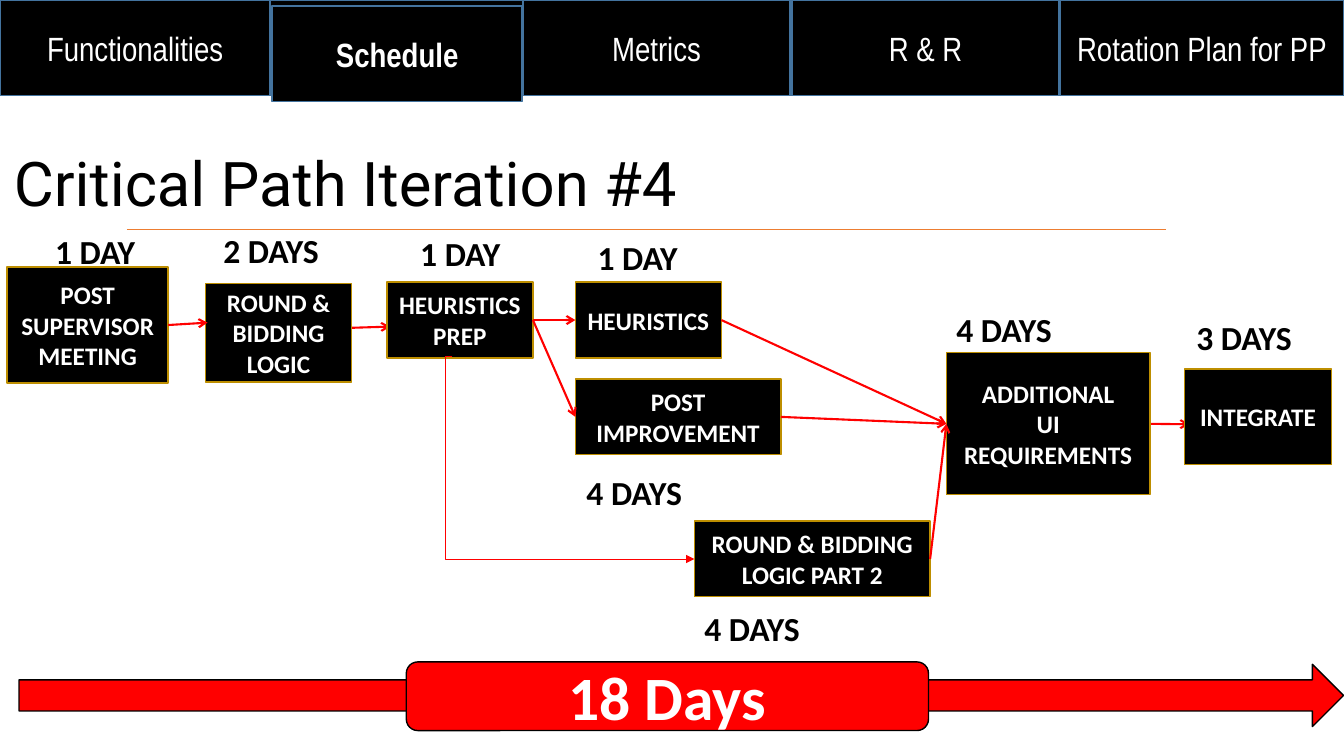
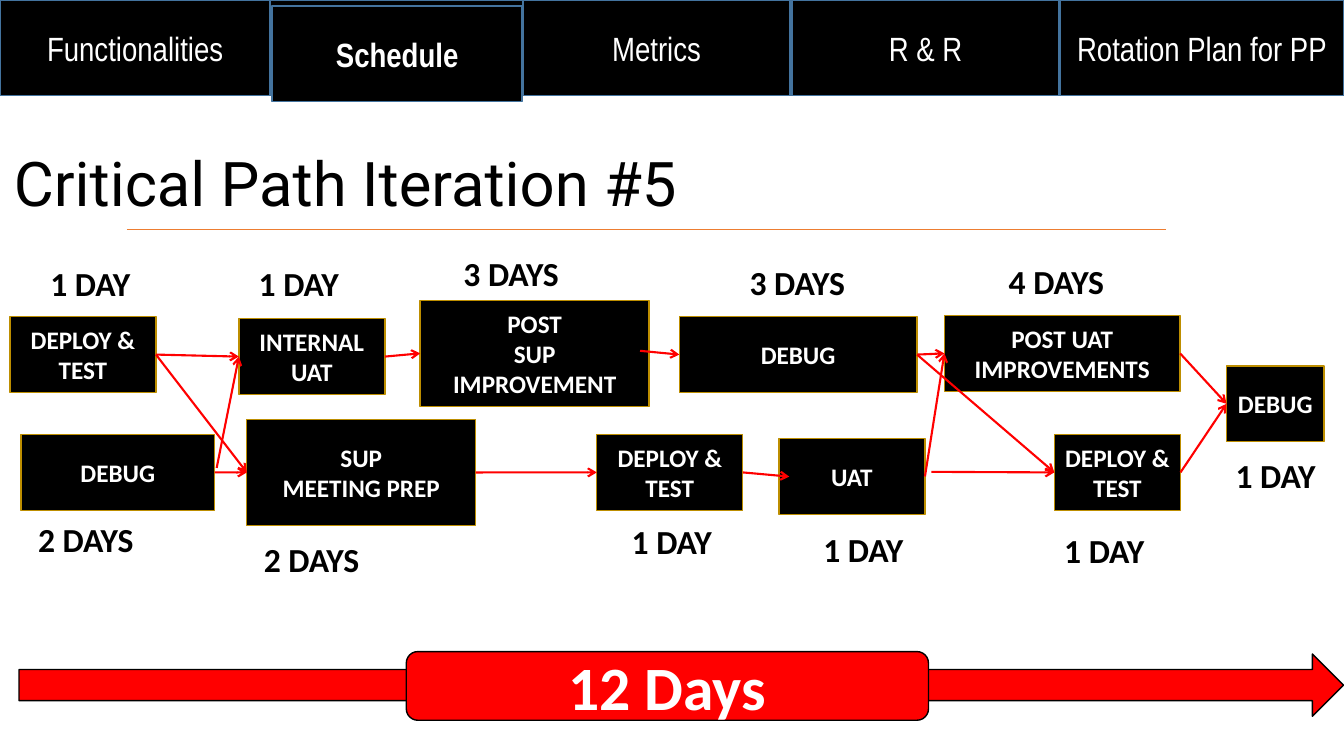
from dataclasses import dataclass

from lxml.etree import SubElement
from pptx import Presentation
from pptx.dml.color import RGBColor
from pptx.enum.shapes import MSO_CONNECTOR as Link, MSO_SHAPE as Preset
from pptx.enum.text import MSO_ANCHOR as Anchor, MSO_AUTO_SIZE as AutoSize, PP_ALIGN as Align
from pptx.oxml.ns import qn
from pptx.shapes.autoshape import Shape
from pptx.shapes.connector import Connector
from pptx.slide import Slide
from pptx.util import Cm, Pt

COLORS = {
    "black": "000000",
    "white": "FFFFFF",
    "tab_line": "43739E",
    "task_line": "BD8E00",
    "rule": "ED7D31",
    "red": "FF0000",
}
SLIDE_W, SLIDE_H = 33.87, 19.05
TAB_H, ACTIVE_TAB, ACTIVE_DROP = 2.41, "Schedule", 0.15
JOIN_TOLERANCE = Cm(0.11)


@dataclass(frozen=True)
class Tab:
    text: str
    left: float
    width: float


@dataclass(frozen=True)
class Task:
    text: str
    left: float
    top: float
    width: float = 3.68
    height: float = 1.91


@dataclass(frozen=True)
class Duration:
    text: str
    left: float
    top: float
    width: float = 2.72


@dataclass(frozen=True)
class Arrow:
    x1: float
    y1: float
    x2: float
    y2: float
    under: bool = False
    elbow: bool = False


@dataclass(frozen=True)
class Iteration:
    title: str
    total: str
    total_top: float
    tasks: list[Task]
    durations: list[Duration]
    arrows: list[Arrow]


TABS = [
    Tab("Functionalities", 0, 6.81),
    Tab("Schedule", 6.86, 6.3),
    Tab("Metrics", 13.18, 6.73),
    Tab("R & R", 19.96, 6.73),
    Tab("Rotation Plan for PP", 26.72, 7.14),
]

ITERATIONS = [
    Iteration(
        "Critical Path Iteration #4", "18 Days", 16.74,
        [
            Task("POST SUPERVISOR MEETING", 0.18, 6.73, 4.06, 2.92),
            Task("ROUND & BIDDING LOGIC", 5.18, 7.14, height=2.49),
            Task("HEURISTICS\nPREP", 9.75, 7.11),
            Task("HEURISTICS", 14.5, 7.11),
            Task("POST\nIMPROVEMENT", 14.5, 9.55, 5.18),
            Task("ROUND & BIDDING LOGIC PART 2", 17.5, 13.13, 5.94),
            Task("ADDITIONAL\nUI REQUIREMENTS", 23.85, 8.89, 5.13, 3.58),
            Task("INTEGRATE", 29.85, 9.3, 3.71, 2.41),
        ],
        [
            Duration("1 DAY", 1.14, 5.69),
            Duration("2 DAYS", 5.38, 5.66, 3.3),
            Duration("1 DAY", 10.34, 5.74),
            Duration("1 DAY", 14.81, 5.84, 2.95),
            Duration("4 DAYS", 14.53, 11.76, 3.12),
            Duration("4 DAYS", 17.5, 15.19, 3.12),
            Duration("4 DAYS", 23.85, 7.67, 4.27),
            Duration("3 DAYS", 29.9, 7.87, 3.51),
        ],
        [
            Arrow(4.17, 8.13, 5.23, 8.13),
            Arrow(8.86, 8.26, 9.83, 8.23, under=True),
            Arrow(13.51, 8.08, 14.5, 8.03),
            Arrow(13.51, 8.05, 14.58, 10.59),
            Arrow(11.4, 8.99, 17.5, 14.1, elbow=True),
            Arrow(18.19, 8.13, 23.85, 10.69),
            Arrow(19.61, 10.44, 23.85, 10.69),
            Arrow(23.44, 14.05, 23.85, 10.69),
            Arrow(28.96, 10.72, 29.97, 10.69, under=True),
        ],
    ),
    Iteration(
        "Critical Path Iteration #5", "12 Days", 16.48,
        [
            Task("DEPLOY & TEST", 0.25, 7.98),
            Task("DEBUG", 0.53, 10.95, 4.88),
            Task("INTERNAL\nUAT", 6.02, 8.03),
            Task("SUP\vMEETING PREP", 6.22, 10.57, 5.77, 2.67),
            Task("POST\vSUP IMPROVEMENT", 10.59, 7.57, 5.77, 2.67),
            Task("DEPLOY & TEST", 15.04, 10.95),
            Task("DEBUG", 17.12, 7.98, 5.99),
            Task("UAT", 19.63, 11.05),
            Task("POST UAT IMPROVEMENTS", 23.8, 7.95, 5.94),
            Task("DEPLOY & TEST", 26.57, 10.95, 3.18),
            Task("DEBUG", 30.91, 9.22, 2.46),
        ],
        [
            Duration("1 DAY", 1.02, 6.5),
            Duration("2 DAYS", 0.71, 12.95, 3.73),
            Duration("1 DAY", 6.27, 6.5),
            Duration("2 DAYS", 6.4, 13.46, 3.53),
            Duration("3 DAYS", 11.43, 6.25, 3.53),
            Duration("1 DAY", 15.67, 13),
            Duration("3 DAYS", 18.64, 6.48, 3.71),
            Duration("1 DAY", 20.5, 13.21),
            Duration("4 DAYS", 25.17, 6.45, 3.2),
            Duration("1 DAY", 26.57, 13.23),
            Duration("1 DAY", 30.89, 11.35),
        ],
        [
            Arrow(3.84, 8.97, 6.02, 8.97),
            Arrow(3.84, 9.02, 6.22, 11.91),
            Arrow(5.41, 11.89, 6.22, 11.91),
            Arrow(5.46, 11.79, 6.02, 8.97),
            Arrow(9.6, 8.92, 10.67, 8.92),
            Arrow(12.01, 11.84, 15.09, 11.96),
            Arrow(16.13, 8.84, 17.2, 8.84),
            Arrow(18.82, 11.99, 19.89, 12.01),
            Arrow(23.11, 8.94, 23.8, 8.92),
            Arrow(23.06, 8.89, 26.57, 11.91),
            Arrow(23.47, 11.89, 26.57, 11.91),
            Arrow(23.34, 11.94, 23.8, 8.92),
            Arrow(29.79, 8.84, 30.91, 10.16),
            Arrow(29.72, 11.86, 30.91, 10.16),
        ],
    ),
]


def rgb(name: str) -> RGBColor:
    return RGBColor.from_string(COLORS[name])


def write(sp: Shape, text: str, size: float, font: str, color: str,
          bold: bool = False, align: Align = Align.CENTER) -> None:
    tf = sp.text_frame
    tf.word_wrap = True
    tf.text = text
    for p in tf.paragraphs:
        p.alignment = align
        for r in p.runs:
            r.font.size = Pt(size)
            r.font.name = font
            r.font.bold = bold
            r.font.color.rgb = rgb(color)


def add_box(slide: Slide, preset: Preset, left: float, top: float, width: float,
            height: float, fill: str, line: str) -> Shape:
    sp = slide.shapes.add_shape(preset, Cm(left), Cm(top), Cm(width), Cm(height))
    sp.shadow.inherit = False
    sp.fill.solid()
    sp.fill.fore_color.rgb = rgb(fill)
    sp.line.color.rgb = rgb(line)
    sp.line.width = Pt(1)
    sp.text_frame.vertical_anchor = Anchor.MIDDLE
    return sp


def add_line(slide: Slide, kind: Link, x1: float, y1: float, x2: float, y2: float,
             color: str, width: float) -> Connector:
    cxn = slide.shapes.add_connector(kind, Cm(x1), Cm(y1), Cm(x2), Cm(y2))
    cxn.line.color.rgb = rgb(color)
    cxn.line.width = Pt(width)
    SubElement(cxn._element.spPr, qn("a:effectLst"))
    return cxn


def add_header(slide: Slide, title: str) -> None:
    sp = slide.shapes.add_textbox(Cm(0.1), Cm(2.87), Cm(21.9), Cm(3.68))
    write(sp, title, 44, "Roboto", "black", align=Align.LEFT)
    sp.text_frame.vertical_anchor = Anchor.MIDDLE
    sp.text_frame.paragraphs[0].line_spacing = 0.9
    add_box(slide, Preset.RECTANGLE, 0, 0, SLIDE_W, TAB_H, "black", "tab_line")
    for tab in TABS:
        active = tab.text == ACTIVE_TAB
        sp = add_box(slide, Preset.RECTANGLE, tab.left, ACTIVE_DROP if active else 0,
                     tab.width, TAB_H, "black", "tab_line")
        write(sp, tab.text, 24, "Arial Narrow", "white", active)
    add_line(slide, Link.STRAIGHT, 3.2, 5.77, 29.39, 5.77, "rule", 0.5)


def add_task(slide: Slide, task: Task) -> Shape:
    sp = add_box(slide, Preset.RECTANGLE, task.left, task.top, task.width, task.height,
                 "black", "task_line")
    write(sp, task.text, 18, "Calibri", "white", True)
    return sp


def add_duration(slide: Slide, duration: Duration) -> None:
    sp = slide.shapes.add_textbox(Cm(duration.left), Cm(duration.top),
                                  Cm(duration.width), Cm(1.27))
    write(sp, duration.text, 24, "Calibri", "black", True, Align.LEFT)
    sp.text_frame.auto_size = AutoSize.SHAPE_TO_FIT_TEXT


def add_arrow(slide: Slide, arrow: Arrow) -> Connector:
    kind, width, head = (
        (Link.ELBOW, 0.5, "triangle") if arrow.elbow else (Link.STRAIGHT, 1.5, "arrow"))
    cxn = add_line(slide, kind, arrow.x1, arrow.y1, arrow.x2, arrow.y2, "red", width)
    sp_pr = cxn._element.spPr
    SubElement(sp_pr.find(qn("a:ln")), qn("a:tailEnd"), type=head)
    if arrow.elbow:
        guides = sp_pr.find(qn("a:prstGeom")).find(qn("a:avLst"))
        SubElement(guides, qn("a:gd"), name="adj1", fmla="val -3000")
    return cxn


def join(cxn: Connector, boxes: list[Shape]) -> None:
    ends = [(cxn.begin_x, cxn.begin_y, cxn.begin_connect),
            (cxn.end_x, cxn.end_y, cxn.end_connect)]
    for x, y, connect in ends:
        for sp in boxes:
            middle = sp.top + sp.height // 2
            for site, side in ((1, sp.left), (3, sp.left + sp.width)):
                if max(abs(x - side), abs(y - middle)) <= JOIN_TOLERANCE:
                    connect(sp, site)


def add_total(slide: Slide, text: str, top: float) -> None:
    add_box(slide, Preset.RIGHT_ARROW, 0.48, top, 33.38, 1.57, "red", "black")
    sp = add_box(slide, Preset.ROUNDED_RECTANGLE, 10.24, top - 0.06, 13.16, 1.73,
                 "red", "black")
    write(sp, text, 44, "Calibri", "white", True)


def add_iteration(prs: Presentation, iteration: Iteration) -> None:
    slide = prs.slides.add_slide(prs.slide_layouts[6])
    add_header(slide, iteration.title)
    add_total(slide, iteration.total, iteration.total_top)
    links = [add_arrow(slide, a) for a in iteration.arrows if a.under]
    boxes = [add_task(slide, task) for task in iteration.tasks]
    links += [add_arrow(slide, a) for a in iteration.arrows if not a.under]
    for cxn in links:
        join(cxn, boxes)
    for duration in iteration.durations:
        add_duration(slide, duration)


def main() -> None:
    prs = Presentation()
    prs.slide_width, prs.slide_height = Cm(SLIDE_W), Cm(SLIDE_H)
    for iteration in ITERATIONS:
        add_iteration(prs, iteration)
    prs.save("out.pptx")


if __name__ == "__main__":
    main()
